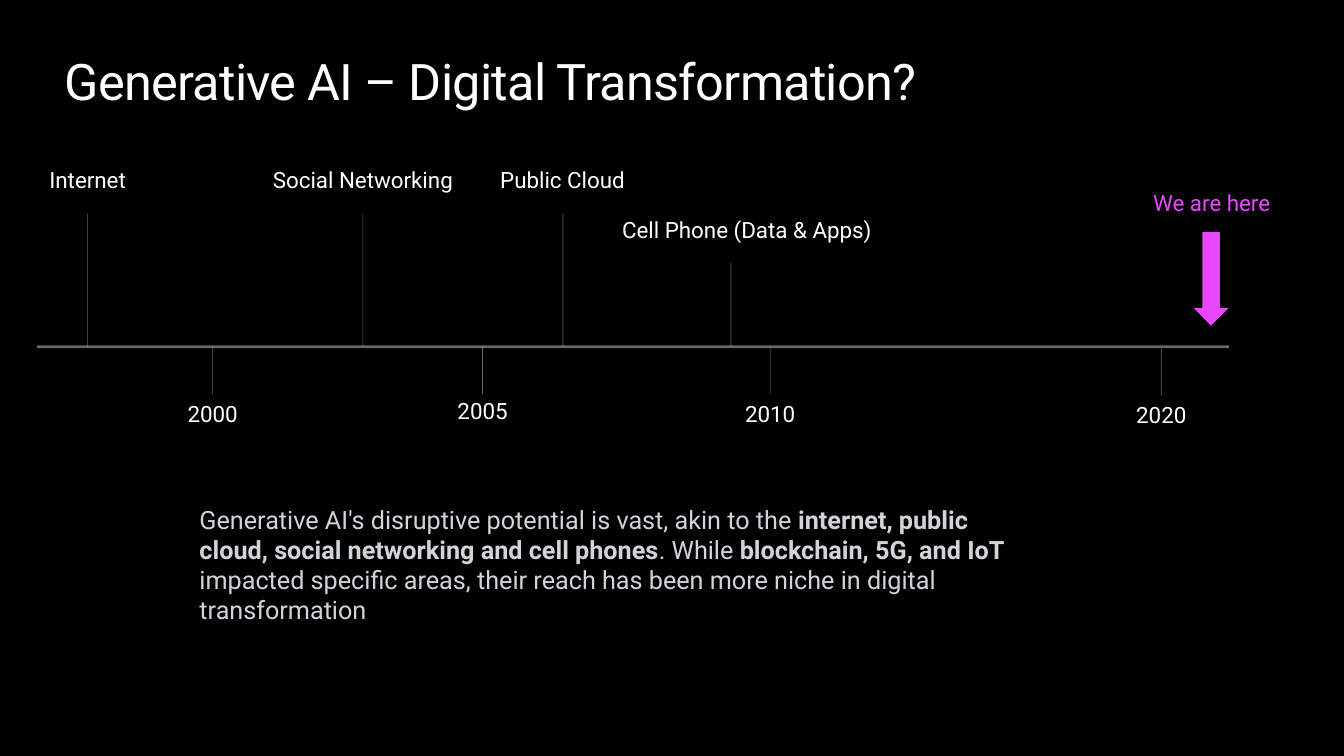
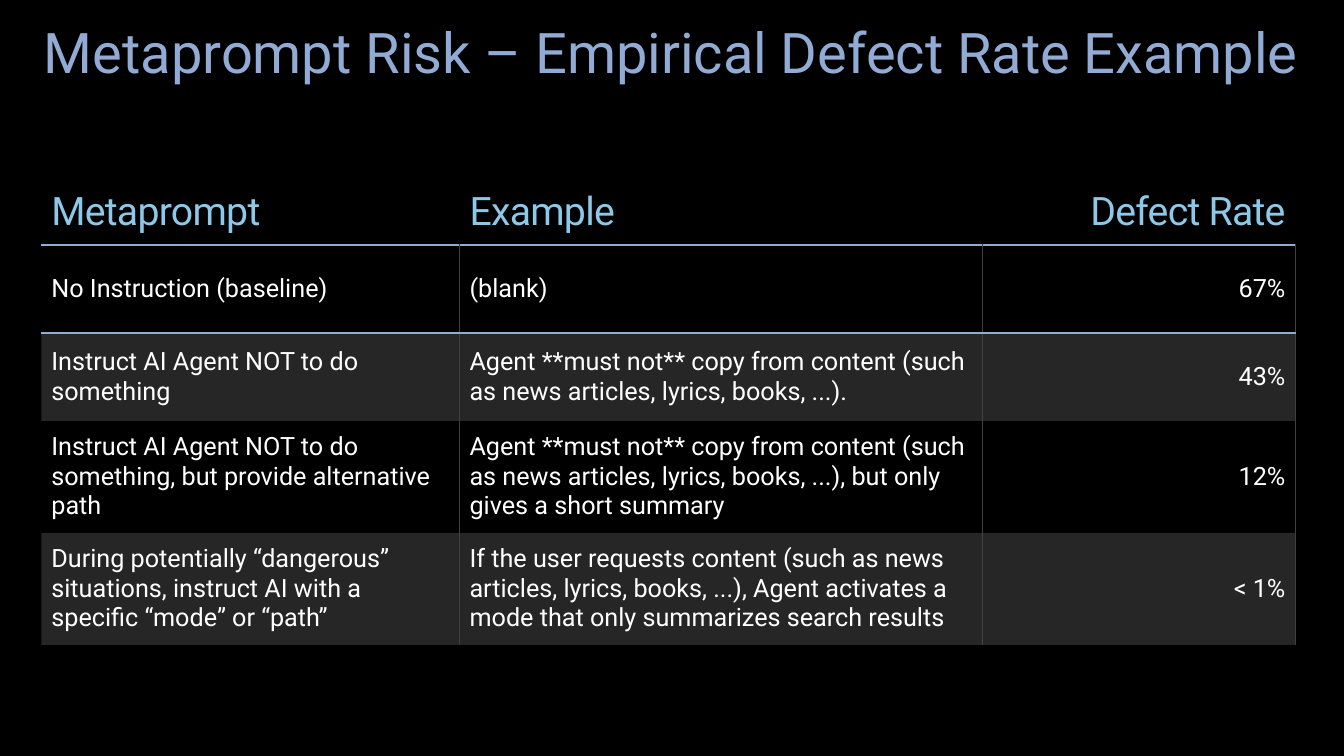
from dataclasses import dataclass

from lxml import etree
from pptx import Presentation
from pptx.dml.color import RGBColor
from pptx.enum.shapes import MSO_CONNECTOR, MSO_SHAPE
from pptx.enum.text import MSO_ANCHOR, MSO_AUTO_SIZE, PP_ALIGN
from pptx.oxml.ns import qn
from pptx.util import Pt

LEFT, MID, RIGHT = PP_ALIGN.LEFT, PP_ALIGN.CENTER, PP_ALIGN.RIGHT
TOP, CENTER, BOTTOM = MSO_ANCHOR.TOP, MSO_ANCHOR.MIDDLE, MSO_ANCHOR.BOTTOM
STRAIGHT, ARROW = MSO_CONNECTOR.STRAIGHT, MSO_SHAPE.DOWN_ARROW
NO_FIT = MSO_AUTO_SIZE.NONE
NO_GRID = "{2D5ABB26-0587-4C30-8999-92F81FD0307C}"


@dataclass(frozen=True)
class Theme:
    font: str = "Roboto"
    back: str = "000000"
    white: str = "FFFFFF"
    soft: str = "D1D5DB"
    pink: str = "E946FF"
    blue: str = "91ABD5"
    sky: str = "8DC8E8"
    edge: str = "404040"
    label: int = 16
    body: int = 18
    head: int = 28
    title: int = 36
    large: int = 40


T = Theme()

# Timeline content, places in points
TITLE_1 = "Generative AI – Digital Transformation?"
AXIS = (26.6, 877.7, 247.7)
# name, tick x, tick top, label centre, label width
EVENTS = [
    ("Internet", 62.6, 152.6, 62.6, 157),
    ("Social Networking", 259.2, 152.6, 259.2, 157),
    ("Public Cloud", 402.2, 152.6, 401.8, 157),
    ("Cell Phone (Data & Apps)", 522.2, 188, 533.5, 194.4),
]
# name, tick x, tick top, label top
YEARS = [
    ("2000", 151.9, 247.7, 285.8),
    ("2005", 344.7, 247.7, 283.7),
    ("2010", 550.1, 247.7, 285.8),
    ("2020", 829.5, 249, 286.6),
]
TICK, RISE = 33.6, 33.6
NOW = "We are here"
NOTE = [
    ("Generative AI's disruptive potential is vast, akin to the ", False),
    ("internet, public cloud, social networking and cell phones", True),
    (". While ", False),
    ("blockchain, 5G, and IoT ", True),
    ("impacted specific areas, their reach has been more niche in digital "
     "transformation", False),
]

# Table content
TITLE_2 = "Metaprompt Risk – Empirical Defect Rate Example"
ROWS = [
    ("Metaprompt", "Example", "Defect Rate"),
    ("No Instruction (baseline)", "(blank)", "67%"),
    ("Instruct AI Agent NOT to do something",
     "Agent **must not** copy from content (such as news articles, lyrics, "
     "books, ...).", "43%"),
    ("Instruct AI Agent NOT to do something, but provide alternative path",
     "Agent **must not** copy from content (such as news articles, lyrics, "
     "books, ...), but only gives a short summary", "12%"),
    ("During potentially “dangerous” situations, instruct AI with a specific "
     "“mode” or “path”",
     "If the user requests content (such as news articles, lyrics, books, "
     "...), Agent activates a mode that only summarizes search results",
     "< 1%"),
]
WIDTHS = [298.7, 373.2, 224]
HEIGHTS = [57.6, 62.8, 62.8, 80, 80]
ALIGNS = [LEFT, LEFT, RIGHT]


def rgb(code):
    return RGBColor.from_string(code)


def fade(node, share):
    """Make the colours under a node partly transparent."""
    for clr in node.iter(qn("a:srgbClr")):
        etree.SubElement(clr, qn("a:alpha"), val=str(share * 1000))


def write(frame, text, size=T.label, color=T.white, align=LEFT, space=0):
    """Write a string, or (text, bold) pairs, as one paragraph."""
    para = frame.paragraphs[0]
    para.alignment = align
    for part, bold in [(text, False)] if isinstance(text, str) else text:
        run = para.add_run()
        run.text = part
        font = run.font
        font.name, font.size, font.bold = T.font, Pt(size), bold
        font.color.rgb = rgb(color)
        if space:
            run._r.get_or_add_rPr().set("spc", str(int(space * 100)))


def set_up(frame, inset=(0, 0), anchor=TOP):
    frame.word_wrap = True
    frame.auto_size = NO_FIT
    frame.vertical_anchor = anchor
    frame.margin_left = frame.margin_right = Pt(inset[0])
    frame.margin_top = frame.margin_bottom = Pt(inset[1])


def add_box(slide, place, text, inset=(0, 0), **style):
    box = slide.shapes.add_textbox(*map(Pt, place))
    set_up(box.text_frame, inset)
    write(box.text_frame, text, **style)


def add_line(slide, x1, y1, x2, y2, width=0.5):
    line = slide.shapes.add_connector(STRAIGHT, *map(Pt, (x1, y1, x2, y2)))
    line.line.width = Pt(width)
    line.line.color.rgb = rgb(T.white)
    props = line.element.spPr
    fade(props, 40)
    etree.SubElement(props, qn("a:effectLst"))


def add_slide(deck, text, place, anchor=TOP, **style):
    slide = deck.slides.add_slide(deck.slide_layouts[5])
    title = slide.shapes.title
    title.left, title.top, title.width, title.height = map(Pt, place)
    set_up(title.text_frame, anchor=anchor)
    write(title.text_frame, text, **style)
    return slide


def add_edge(cell, side, color, width):
    line = etree.SubElement(cell._tc.get_or_add_tcPr(), qn("a:ln" + side),
                            w=str(Pt(width)))
    fill = etree.SubElement(line, qn("a:solidFill"))
    etree.SubElement(fill, qn("a:srgbClr"), val=color)


def add_times(deck):
    slide = add_slide(deck, TITLE_1, (46, 36, 867.6, 44),
                      size=T.title, space=-0.5)
    left, right, base = AXIS
    # Ticks and labels
    for name, x, top, mid, wide in EVENTS:
        add_line(slide, x, top, x, base)
        add_box(slide, (mid - wide / 2, top - RISE, wide, 28.8), name,
                align=MID)
    for name, x, top, low in YEARS:
        add_line(slide, x, top, x, top + TICK)
        add_box(slide, (x - 78.5, low, 157, 28.8), name, align=MID)
    add_line(slide, right, base, left, base, width=2)
    # Present day marker
    arrow = slide.shapes.add_shape(ARROW, *map(Pt, (852.5, 165.6, 25.2, 67)))
    arrow.shadow.inherit = False
    arrow.fill.solid()
    arrow.fill.fore_color.rgb = rgb(T.pink)
    arrow.line.fill.background()
    add_box(slide, (787, 135.4, 157, 28.8), NOW, color=T.pink, align=MID)
    # Closing note
    add_box(slide, (135.4, 356.4, 602, 94.3), NOTE, inset=(7.2, 3.6),
            size=T.body, color=T.soft)


def add_rates(deck):
    slide = add_slide(deck, TITLE_2, (9.4, 12.2, 939.6, 48.2), CENTER,
                      size=T.large, color=T.blue, align=MID)
    frame = slide.shapes.add_table(
        len(ROWS), len(WIDTHS),
        *map(Pt, (29.5, 117.4, sum(WIDTHS), sum(HEIGHTS))))
    for style in frame.element.iter(qn("a:tableStyleId")):
        style.text = NO_GRID
    table = frame.table
    table.first_row = table.horz_banding = False
    for col, wide in zip(table.columns, WIDTHS):
        col.width = Pt(wide)
    for r, (row, high) in enumerate(zip(ROWS, HEIGHTS)):
        table.rows[r].height = Pt(high)
        for c, (text, align) in enumerate(zip(row, ALIGNS)):
            cell = table.cell(r, c)
            if r == 0:
                style = dict(size=T.head, color=T.sky, space=-0.5)
                cell.vertical_anchor = BOTTOM
                cell.margin_bottom = Pt(7.2)
                add_edge(cell, "B", T.blue, 2.25)
            else:
                style = dict(size=T.body)
                cell.vertical_anchor = CENTER
                if c:
                    add_edge(cell, "L", T.edge, 0.5)
                add_edge(cell, "R", T.edge, 0.5)
                if r == 1:
                    add_edge(cell, "T", T.blue, 2.25)
            # Every second body row is tinted
            if r and r % 2 == 0:
                cell.fill.solid()
                cell.fill.fore_color.rgb = rgb(T.white)
                fade(cell._tc.tcPr.find(qn("a:solidFill")), 15)
            else:
                cell.fill.background()
            write(cell.text_frame, text, align=align, **style)


def main():
    deck = Presentation()
    deck.slide_width, deck.slide_height = Pt(960), Pt(540)
    back = deck.slide_master.background.fill
    back.solid()
    back.fore_color.rgb = rgb(T.back)
    add_times(deck)
    add_rates(deck)
    deck.save("out.pptx")


if __name__ == "__main__":
    main()
